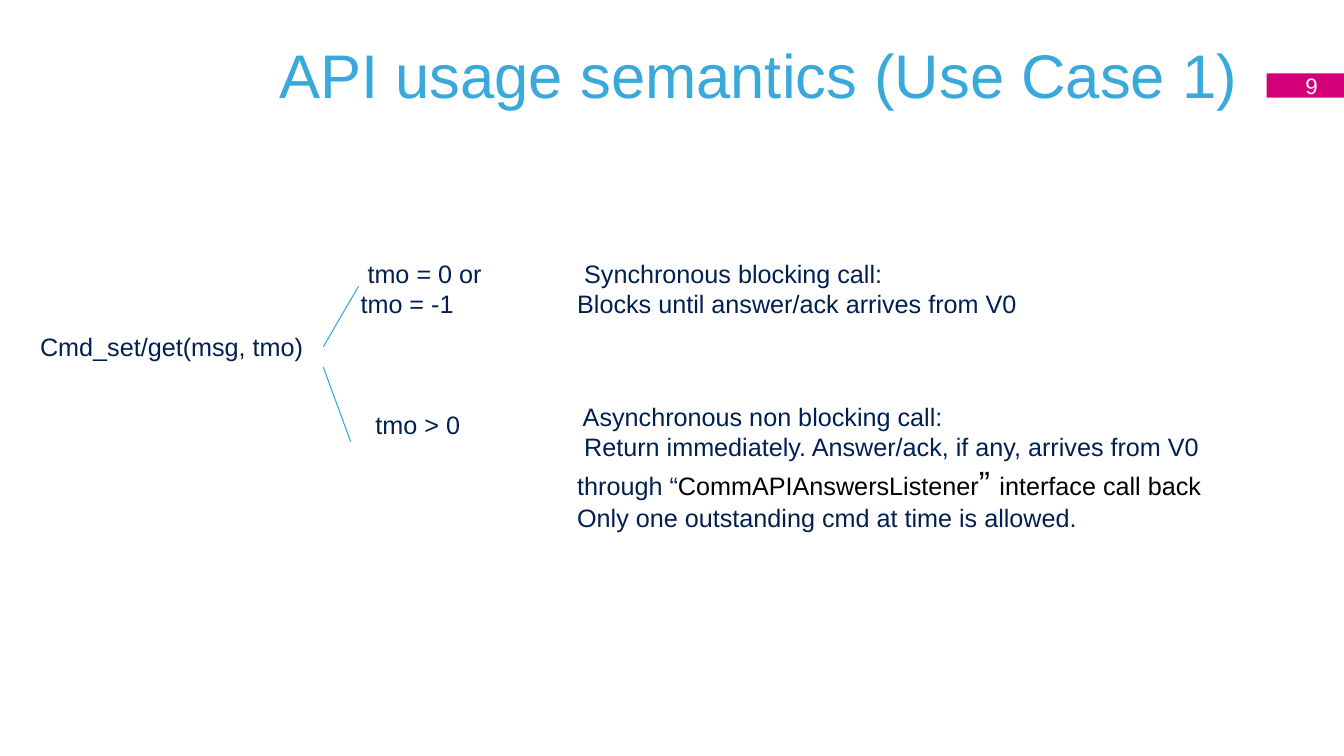
"""Slide on the blocking and non-blocking use of a command API."""
from dataclasses import dataclass

from lxml import etree
from pptx import Presentation
from pptx import util as u
from pptx.dml.color import RGBColor
from pptx.enum import shapes, text
from pptx.oxml import ns

COLOURS = {
    "title": "39A9DC",
    "badge": "D4007A",
    "number": "FFFFFF",
    "body": "002052",
    "code": "000000",
    "branch": "34A7DB",
}
FONT = "Arial"
RIGHT = text.PP_ALIGN.RIGHT
LEFT = text.PP_ALIGN.LEFT
MIDDLE = text.MSO_ANCHOR.MIDDLE
BODY_INSETS = (0.25, 0.13, 0.25, 0.13)
TITLE_INSETS = (0.33, 0.18, 0.33, 0.18)
BADGE_INSETS = (0, 0, 0.66, 0)
OUTCOME_LEFT = 14.3


@dataclass(frozen=True)
class Span:
    """A stretch of text with one size and colour."""
    words: str
    size: int = 18
    colour: str = "body"


@dataclass(frozen=True)
class Label:
    """Paragraphs of spans in a box given in centimetres."""
    box: tuple[float, float, float, float]
    paragraphs: tuple[tuple[Span, ...], ...]
    align: text.PP_ALIGN = LEFT
    anchor: text.MSO_ANCHOR = text.MSO_ANCHOR.TOP
    insets: tuple[float, float, float, float] = BODY_INSETS
    wrap: bool = True
    fill: str = ""


@dataclass(frozen=True)
class Branch:
    """A line from the call to one of its cases, in centimetres."""
    start: tuple[float, float]
    end: tuple[float, float]


LABELS = (
    Label((1.63, 0.28, 29.92, 3.18),
          ((Span("API usage semantics (Use Case 1)", 44, "title"),),),
          RIGHT, MIDDLE, TITLE_INSETS),
    Label((31.93, 1.85, 1.95, 0.61), ((Span("9", 16, "number"),),),
          RIGHT, MIDDLE, BADGE_INSETS, False, "badge"),
    Label((0.76, 8.23, 7.39, 1.02), ((Span("Cmd_set/get(msg, tmo)"),),)),
    Label((8.84, 6.38, 3.86, 1.8), ((Span(" tmo = 0 or tmo = -1"),),)),
    Label((OUTCOME_LEFT, 6.38, 14.78, 1.8), (
        (Span(" Synchronous blocking call:"),),
        (Span("Blocks until answer/ack arrives from V0"),),
    )),
    Label((9.04, 10.19, 3.86, 1.02), ((Span(" tmo > 0"),),)),
    Label((OUTCOME_LEFT, 9.98, 17.63, 3.58), (
        (Span(" Asynchronous non blocking call:"),),
        (Span(" Return immediately. Answer/ack, if any, arrives from V0 through “"),
         Span("CommAPIAnswersListener", colour="code"),
         Span("” ", 24, "code"),
         Span("interface call back", colour="code")),
        (Span("Only one outstanding cmd at time is allowed."),),
    )),
)
BRANCHES = (
    Branch((8.15, 8.74), (9.04, 7.21)),
    Branch((8.15, 9.25), (8.84, 11.13)),
)


def colour(name: str) -> RGBColor:
    """Look up a named colour."""
    return RGBColor.from_string(COLOURS[name])


def apply(target: object, formats: dict) -> None:
    """Set each format value on the target."""
    for attribute, value in formats.items():
        setattr(target, attribute, value)


def draw_label(slide, label: Label) -> None:
    """Draw a label, on a filled rectangle if it has a fill."""
    box = [u.Cm(length) for length in label.box]
    if label.fill:
        holder = slide.shapes.add_shape(shapes.MSO_SHAPE.RECTANGLE, *box)
        holder.shadow.inherit = False
        holder.fill.solid()
        holder.fill.fore_color.rgb = colour(label.fill)
        holder.line.fill.background()
    else:
        holder = slide.shapes.add_textbox(*box)
    left, top, right, bottom = (u.Cm(inset) for inset in label.insets)
    frame = holder.text_frame
    apply(frame, {
        "margin_left": left, "margin_top": top,
        "margin_right": right, "margin_bottom": bottom,
        "word_wrap": label.wrap, "vertical_anchor": label.anchor,
    })
    for index, spans in enumerate(label.paragraphs):
        paragraph = frame.add_paragraph() if index else frame.paragraphs[0]
        paragraph.alignment = label.align
        for span in spans:
            run = paragraph.add_run()
            run.text = span.words
            apply(run.font, {"name": FONT, "size": u.Pt(span.size)})
            run.font.color.rgb = colour(span.colour)


def draw_branch(slide, branch: Branch) -> None:
    """Draw a thin line without a shadow."""
    ends = [u.Cm(length) for length in branch.start + branch.end]
    line = slide.shapes.add_connector(shapes.MSO_CONNECTOR.STRAIGHT, *ends)
    line.line.width = u.Pt(0.75)
    line.line.color.rgb = colour("branch")
    etree.SubElement(line._element.spPr, ns.qn("a:effectLst"))


def main() -> None:
    """Build and save the slide."""
    deck = Presentation()
    apply(deck, {"slide_width": u.Cm(33.88), "slide_height": u.Cm(19.05)})
    slide = deck.slides.add_slide(deck.slide_layouts[6])
    for label in LABELS:
        draw_label(slide, label)
    for branch in BRANCHES:
        draw_branch(slide, branch)
    deck.save("out.pptx")


main()
